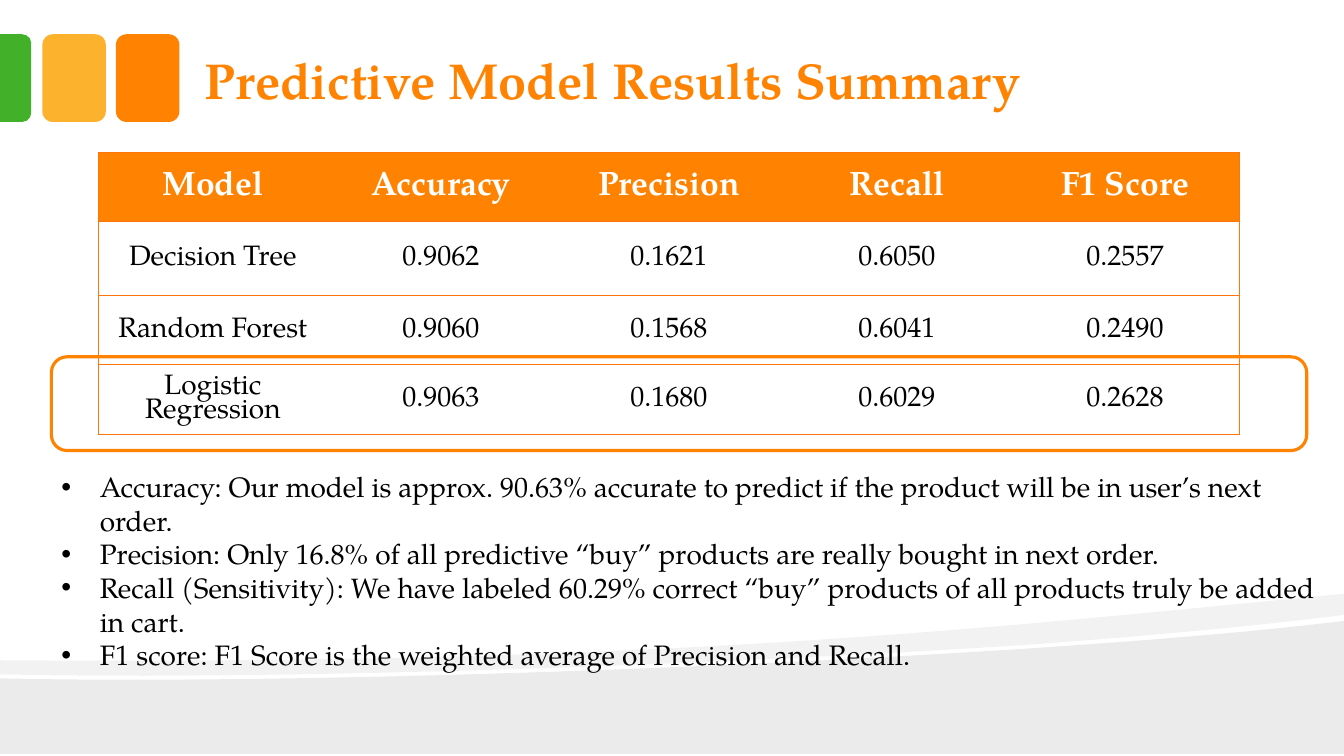
from lxml import etree
from pptx import Presentation, util as u
from pptx.dml.color import RGBColor
from pptx.enum import shapes, text
from pptx.oxml.ns import qn

PX = u.Inches(1) // 100
FONT = "TeX Gyre Pagella"
ORANGE = "FF8200"
BORDER = "FE750E"


def paint(target, color):
    target.solid()
    target.fore_color.rgb = RGBColor.from_string(color)


def style(para, size, color, bold=False):
    for span in para.runs:
        span.font.name = FONT
        span.font.size = u.Pt(size)
        span.font.bold = bold
        span.font.color.rgb = RGBColor.from_string(color)


deck = Presentation()
deck.slide_width, deck.slide_height = 1333 * PX, 750 * PX
page = deck.slides.add_slide(deck.slide_layouts[1])
title, body = page.placeholders[0], page.placeholders[1]

steps = 30
bands = [
    (8, [[(0, 673), (352, 681), (1042, 652), (1333, 616)],
         [(1333, 748), (0, 748)]]),
    (5, [[(0, 655), (652, 660), (971, 624), (1333, 589)],
         [(1333, 610), (1255, 620), (1149, 630), (1029, 639)],
         [(1029, 639), (698, 661), (258, 675), (0, 669)]]),
]
for opacity, parts in bands:
    points = []
    for part in parts:
        if len(part) == 2:
            points += part
            continue
        for step in range(steps + 1):
            t = step / steps
            weights = [(1 - t) ** 3, 3 * t * (1 - t) ** 2, 3 * t * t * (1 - t), t ** 3]
            points.append([sum(w * point[axis] for w, point in zip(weights, part)) for axis in (0, 1)])
    outline = [(x * PX, y * PX) for x, y in points]
    builder = page.shapes.build_freeform(*outline[0])
    builder.add_line_segments(outline[1:])
    band = builder.convert_to_shape()
    band.shadow.inherit = False
    paint(band.fill, "000000")
    band.line.fill.background()
    color_node = band.element.spPr.find(".//" + qn("a:srgbClr"))
    etree.SubElement(color_node, qn("a:alpha"), val=str(opacity * 1000))

kinds = shapes.MSO_SHAPE
tiles = [
    (kinds.ROUNDED_RECTANGLE, 115, 34, 63, 87, 0, ORANGE),
    (kinds.ROUNDED_RECTANGLE, 42, 34, 63, 87, 0, "FCB22C"),
    (kinds.ROUND_2_SAME_RECTANGLE, -28, 62, 87, 31, 90, "42B129"),
]
for kind, left, top, width, height, turn, color in tiles:
    tile = page.shapes.add_shape(kind, left * PX, top * PX, width * PX, height * PX)
    tile.rotation = turn
    if turn:
        tile.adjustments[0] = 0.29
    tile.shadow.inherit = False
    paint(tile.fill, color)
    tile.line.fill.background()

title.left, title.top, title.width, title.height = 190 * PX, 49 * PX, 855 * PX, 67 * PX
frame = title.text_frame
frame.text = "Predictive Model Results Summary"
frame.auto_size = text.MSO_AUTO_SIZE.NONE
frame.vertical_anchor = text.MSO_ANCHOR.BOTTOM
frame.margin_left = frame.margin_right = 13 * PX
frame.margin_top = frame.margin_bottom = 7 * PX
frame.paragraphs[0].alignment = text.PP_ALIGN.LEFT
style(frame.paragraphs[0], 36, ORANGE, True)

results = [
    ["Model", "Accuracy", "Precision", "Recall", "F1 Score"],
    ["Decision Tree", "0.9062", "0.1621", "0.6050", "0.2557"],
    ["Random Forest", "0.9060", "0.1568", "0.6041", "0.2490"],
    ["Logistic Regression", "0.9063", "0.1680", "0.6029", "0.2628"],
]
row_heights = [69, 73, 69, 69]
columns = len(results[0])
holder = page.shapes.add_table(len(results), columns, 98 * PX, 151 * PX, 1131 * PX, sum(row_heights) * PX)
table = holder.table
table.first_row = table.horz_banding = False
holder.element.find(".//" + qn("a:tableStyleId")).text = "{2D5ABB26-0587-4C30-8999-92F81FD0307C}"
for row, height in zip(table.rows, row_heights):
    row.height = height * PX
nodes = holder.element.iter(qn("a:tc"))
for index, (cell, node) in enumerate(zip(table.iter_cells(), nodes)):
    row, column = divmod(index, columns)
    header = row == 0
    cell.text = results[row][column]
    cell.vertical_anchor = text.MSO_ANCHOR.MIDDLE
    para = cell.text_frame.paragraphs[0]
    para.alignment = text.PP_ALIGN.CENTER
    para.line_spacing = 0.83
    style(para, 24 if header else 20, "FFFFFF" if header else "000000", header)
    sides = {"a:lnL": column == 0, "a:lnR": column == columns - 1, "a:lnT": True, "a:lnB": True}
    for side, shown in sides.items():
        if shown:
            edge = etree.SubElement(node.find(qn("a:tcPr")), qn(side), w=str(u.Pt(0.75)))
            etree.SubElement(etree.SubElement(edge, qn("a:solidFill")), qn("a:srgbClr"), val=BORDER)
    if header:
        paint(cell.fill, ORANGE)
    else:
        cell.fill.background()

highlight = page.shapes.add_shape(kinds.ROUNDED_RECTANGLE, 51 * PX, 354 * PX, 1245 * PX, 93 * PX)
highlight.shadow.inherit = False
highlight.fill.background()
paint(highlight.line.fill, ORANGE)
highlight.line.width = u.Pt(2.25)

notes = [
    "Accuracy: Our model is approx. 90.63% accurate to predict if the product will be in user’s next order.",
    "Precision: Only 16.8% of all predictive “buy” products are really bought in next order.",
    "Recall (Sensitivity): We have labeled 60.29% correct “buy” products of all products truly be added in cart.",
    "F1 score: F1 Score is the weighted average of Precision and Recall.",
]
body.left, body.top, body.width, body.height = 51 * PX, 461 * PX, 1270 * PX, 178 * PX
frame = body.text_frame
frame.text = "\n".join(notes)
frame.word_wrap = True
frame.auto_size = text.MSO_AUTO_SIZE.NONE
for para in frame.paragraphs:
    para.space_before = u.Pt(0)
    props = para._p.get_or_add_pPr()
    props.set("marL", str(38 * PX))
    props.set("indent", str(-38 * PX))
    etree.SubElement(props, qn("a:buFont"), typeface="Arial")
    etree.SubElement(props, qn("a:buChar"), char="•")
    style(para, 20, "000000")

for placeholder in (title, body):
    page.shapes.element.append(placeholder.element)

deck.save("out.pptx")
